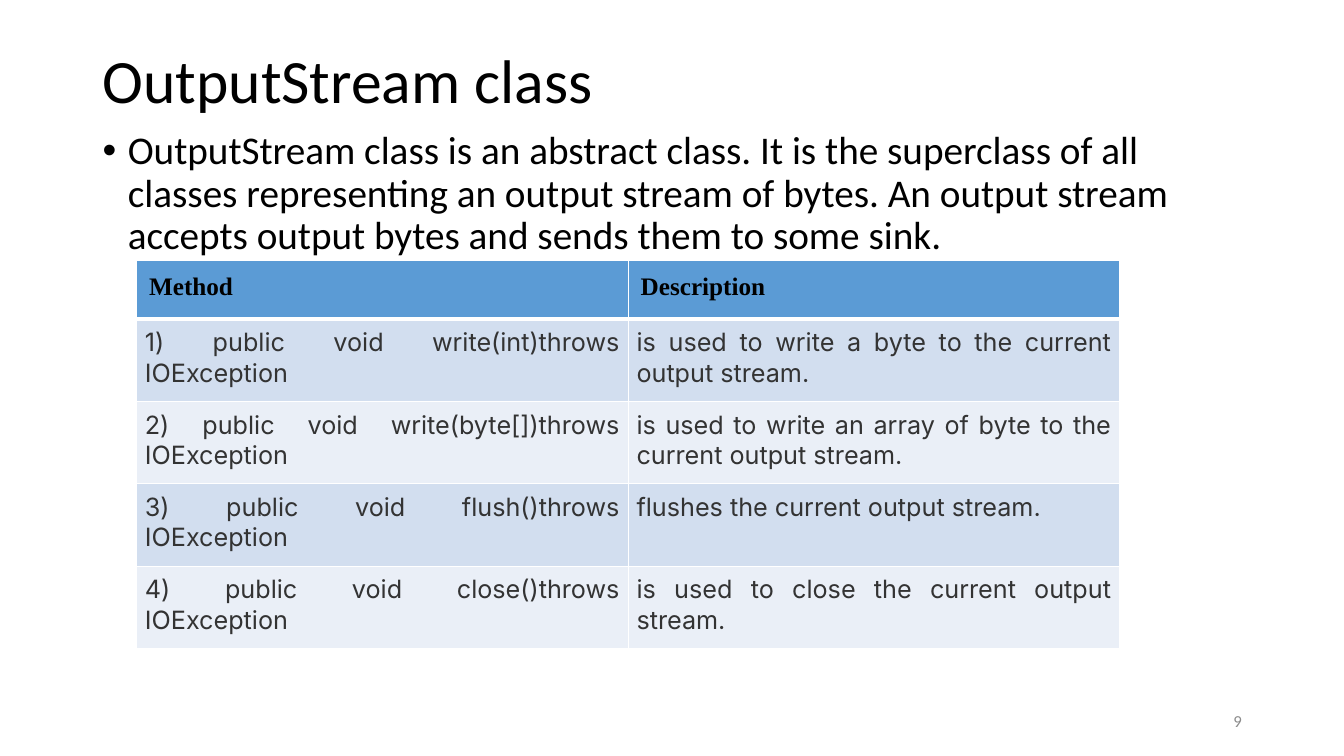
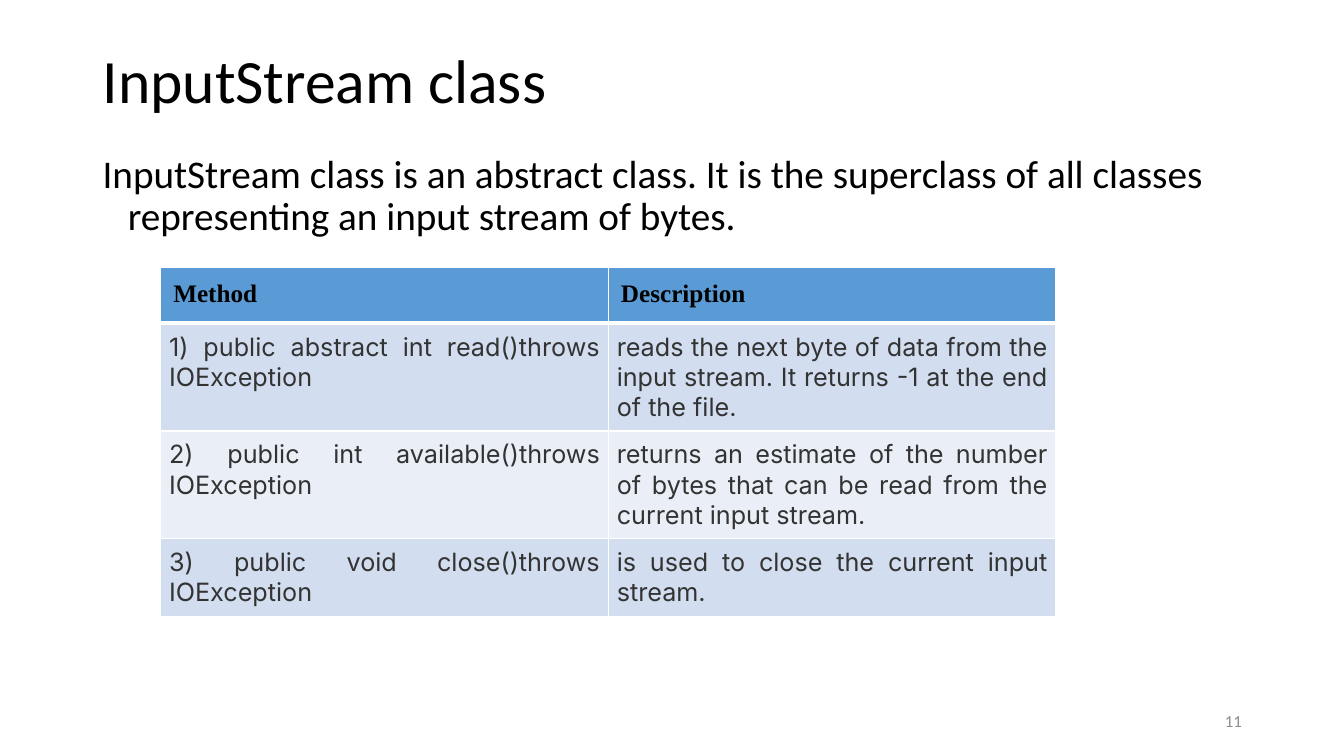
from pptx import Presentation
from pptx.dml.color import RGBColor
from pptx.enum.text import MSO_ANCHOR as Anchor, PP_ALIGN as Align
from pptx.oxml.ns import qn
from pptx.util import Pt
from lxml.etree import SubElement

COLORS = {
    "text": "000000",
    "cell_text": "333333",
    "page_number": "8C8C8C",
    "header": "5B9BD5",
    "band_dark": "D2DEEF",
    "band_light": "EAEFF7",
    "border": "FFFFFF",
}
LEFT, WIDTH = 66.24, 828
HEADINGS = ("Method", "Description")

SLIDES = [
    {
        "title": "OutputStream class",
        "summary": "OutputStream class is an abstract class. It is the superclass of all "
                   "classes representing an output stream of bytes. An output stream "
                   "accepts output bytes and sends them to some sink.",
        "bullet": True,
        "summary_top": 90,
        "number": "9",
        "table_at": (97.5, 185.8),
        "column_width": 351.2,
        "row_heights": (42.2, 58.8, 58.8, 58.8, 58.8),
        "methods": [
            ("1) public void write(int)throws IOException",
             "is used to write a byte to the current output stream."),
            ("2) public void write(byte[])throws IOException",
             "is used to write an array of byte to the current output stream."),
            ("3) public void flush()throws IOException",
             "flushes the current output stream."),
            ("4) public void close()throws IOException",
             "is used to close the current output stream."),
        ],
    },
    {
        "title": "InputStream class",
        "summary": "InputStream class is an abstract class. It is the superclass of all "
                   "classes representing an input stream of bytes.",
        "bullet": False,
        "summary_top": 106.8,
        "number": "11",
        "table_at": (114.8, 191.3),
        "column_width": 319.8,
        "row_heights": (38, 77, 77, 55),
        "methods": [
            ("1) public abstract int read()throws IOException",
             "reads the next byte of data from the input stream. "
             "It returns -1 at the end of the file."),
            ("2) public int available()throws IOException",
             "returns an estimate of the number of bytes that can be read "
             "from the current input stream."),
            ("3) public void close()throws IOException",
             "is used to close the current input stream."),
        ],
    },
]


def style(paragraph, font_name, size, color, bold=False):
    for run in paragraph.runs:
        font = run.font
        font.name, font.size, font.bold = font_name, Pt(size), bold
        font.color.rgb = RGBColor.from_string(COLORS[color])


def add_text(slide, text, box, size, color="text", anchor=Anchor.MIDDLE):
    frame = slide.shapes.add_textbox(*map(Pt, box)).text_frame
    frame.word_wrap = True
    frame.vertical_anchor = anchor
    frame.text = text
    paragraph = frame.paragraphs[0]
    style(paragraph, "Calibri", size, color)
    return paragraph


def add_summary(slide, content):
    top = content["summary_top"]
    summary = add_text(slide, content["summary"], (LEFT, top, WIDTH, 486 - top), 28,
                       anchor=Anchor.TOP)
    summary.line_spacing = 0.9
    summary.space_before = Pt(10)
    properties = summary._p.get_or_add_pPr()
    properties.set("marL", str(Pt(18)))
    properties.set("indent", str(-Pt(18)))
    if content["bullet"]:
        SubElement(properties, qn("a:buFont"), typeface="Arial")
        SubElement(properties, qn("a:buChar"), char="•")


def set_borders(cell, is_header, below_header):
    properties = cell._tc.get_or_add_tcPr()
    widths = {"L": 1, "R": 1, "T": 3 if below_header else 1, "B": 3 if is_header else 1}
    for side, width in widths.items():
        line = SubElement(properties, qn(f"a:ln{side}"), w=str(Pt(width)))
        fill = SubElement(line, qn("a:solidFill"))
        SubElement(fill, qn("a:srgbClr"), val=COLORS["border"])


def fill_cell(cell, text, row):
    is_header = row == 0
    inset = Pt(9 if is_header else 6)
    cell.margin_left = cell.margin_right = cell.margin_top = cell.margin_bottom = inset
    set_borders(cell, is_header, row == 1)
    band = "header" if is_header else "band_dark" if row % 2 else "band_light"
    cell.fill.solid()
    cell.fill.fore_color.rgb = RGBColor.from_string(COLORS[band])
    cell.text_frame.text = text
    paragraph = cell.text_frame.paragraphs[0]
    if is_header:
        style(paragraph, "Times New Roman", 18, "text", bold=True)
    else:
        paragraph.alignment = Align.JUSTIFY
        style(paragraph, "Inter", 18, "cell_text")


def add_methods(slide, content):
    rows = [HEADINGS, *content["methods"]]
    width, heights = content["column_width"], content["row_heights"]
    box = (*content["table_at"], width * len(HEADINGS), sum(heights))
    table = slide.shapes.add_table(len(rows), len(HEADINGS), *map(Pt, box)).table
    for column in table.columns:
        column.width = Pt(width)
    for r, (texts, height) in enumerate(zip(rows, heights)):
        table.rows[r].height = Pt(height)
        for c, text in enumerate(texts):
            fill_cell(table.cell(r, c), text, r)


def main():
    deck = Presentation()
    deck.slide_width, deck.slide_height = Pt(960), Pt(540)
    for content in SLIDES:
        slide = deck.slides.add_slide(deck.slide_layouts[6])
        title = add_text(slide, content["title"], (LEFT, 28.8, WIDTH, 61.2), 44)
        title.line_spacing = 0.9
        add_summary(slide, content)
        number = add_text(slide, content["number"], (678.24, 500.5, 216, 28.8), 12,
                          "page_number")
        number.alignment = Align.RIGHT
        add_methods(slide, content)
    deck.save("out.pptx")


if __name__ == "__main__":
    main()
